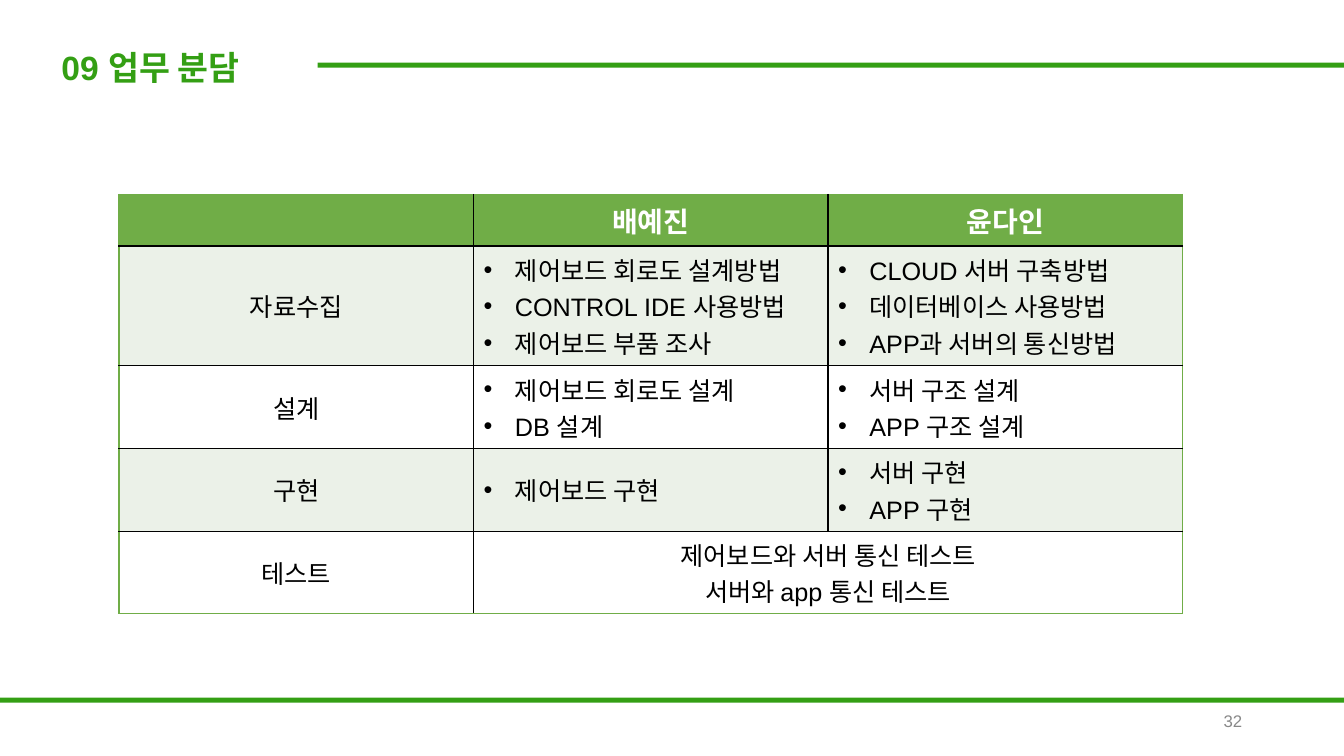
import pptx
import pptx.dml.color
import pptx.enum.shapes
import pptx.enum.text
import pptx.oxml
import pptx.oxml.ns
import pptx.util

Inches = pptx.util.Inches
ALIGN = pptx.enum.text.PP_ALIGN
ANCHOR = pptx.enum.text.MSO_ANCHOR

GREEN, TABLE_GREEN, BAND = "349F14", "70AD47", "EBF1E8"
WHITE, BLACK, GRAY = "FFFFFF", "000000", "888888"

HEADER = ["", "배예진", "윤다인"]
TASKS = [
    ("자료수집",
     ["제어보드 회로도 설계방법", "CONTROL IDE 사용방법", "제어보드 부품 조사"],
     ["CLOUD 서버 구축방법", "데이터베이스 사용방법", "APP과 서버의 통신방법"]),
    ("설계",
     ["제어보드 회로도 설계", "DB 설계"],
     ["서버 구조 설계", "APP 구조 설계"]),
    ("구현", ["제어보드 구현"], ["서버 구현", "APP 구현"]),
]
SHARED_TASK = ("테스트", ["제어보드와 서버 통신 테스트", "서버와 app 통신 테스트"])
ROW_HEIGHTS = [0.51, 1.19, 0.82, 0.82, 0.82]
TABLE_WIDTH = 10.55


def rgb(color):
    return pptx.dml.color.RGBColor.from_string(color)


def write(tf, lines, size, color, bold=False, align=ALIGN.LEFT, bullet=False):
    """Fill a text frame with one paragraph per line."""
    tf.text = "\n".join(lines)
    for p in tf.paragraphs:
        p.alignment = align
        formats = {"name": "Arial", "size": pptx.util.Pt(size), "bold": bold}
        for r in p.runs:
            for key, value in formats.items():
                setattr(r.font, key, value)
            r.font.color.rgb = rgb(color)
        if bullet:
            add_bullet(p)


def add_bullet(p):
    pPr = p._p.get_or_add_pPr()
    indent = Inches(0.31)
    pPr.set("marL", str(indent))
    pPr.set("indent", str(-indent))
    for xml in ('<a:buFont {} typeface="Arial"/>', '<a:buChar {} char="•"/>'):
        pPr.append(pptx.oxml.parse_xml(xml.format(pptx.oxml.ns.nsdecls("a"))))


def set_borders(cell, colors):
    """Draw 1 pt borders, given colours for left, right, top and bottom."""
    tcPr = cell._tc.get_or_add_tcPr()
    for i, (side, color) in enumerate(zip("LRTB", colors)):
        tcPr.insert(i, pptx.oxml.parse_xml(
            f'<a:ln{side} {pptx.oxml.ns.nsdecls("a")} w="12700"><a:solidFill>'
            f'<a:srgbClr val="{color}"/></a:solidFill></a:ln{side}>'))


def add_bar(s, left, top, width):
    sp = s.shapes.add_shape(pptx.enum.shapes.MSO_SHAPE.RECTANGLE, Inches(left),
                            Inches(top), Inches(width), Inches(0.05))
    sp.shadow.inherit = False
    sp.fill.solid()
    sp.fill.fore_color.rgb = rgb(GREEN)
    sp.line.fill.background()


def add_title(s, text):
    sp = s.shapes.title
    box = {"left": 0.51, "top": 0.42, "width": 2.91, "height": 0.5}
    for key, value in box.items():
        setattr(sp, key, Inches(value))
    tf = sp.text_frame
    tf.word_wrap = True
    tf.auto_size = pptx.enum.text.MSO_AUTO_SIZE.NONE
    tf.vertical_anchor = ANCHOR.TOP
    write(tf, [text], 24, GREEN, bold=True)


def add_page_number(s, text):
    sp = s.shapes.add_textbox(Inches(9.42), Inches(6.95), Inches(3), Inches(0.4))
    tf = sp.text_frame
    tf.word_wrap = True
    tf.vertical_anchor = ANCHOR.MIDDLE
    write(tf, [text], 12, GRAY, align=ALIGN.RIGHT)


def add_task_table(s):
    rows, cols = len(ROW_HEIGHTS), len(HEADER)
    table = s.shapes.add_table(
        rows, cols, Inches(1.18), Inches(1.93),
        Inches(TABLE_WIDTH), Inches(sum(ROW_HEIGHTS))).table
    for row, height in zip(table.rows, ROW_HEIGHTS):
        row.height = Inches(height)

    last = rows - 1
    table.cell(last, 1).merge(table.cell(last, 2))
    for i in range(rows):
        for j in range(cols):
            cell = table.cell(i, j)
            cell.vertical_anchor = ANCHOR.MIDDLE
            cell.fill.solid()
            fill = TABLE_GREEN if i == 0 else BAND if i % 2 else WHITE
            cell.fill.fore_color.rgb = rgb(fill)
            at_edge = (j == 0, j == cols - 1 or cell.is_merge_origin,
                       i == 0, i == last)
            set_borders(cell, [TABLE_GREEN if e else BLACK for e in at_edge])

    for j, name in enumerate(HEADER):
        write(table.cell(0, j).text_frame, [name], 20, WHITE, True, ALIGN.CENTER)
    for i, (stage, *duties) in enumerate(TASKS, 1):
        write(table.cell(i, 0).text_frame, [stage], 18, BLACK, align=ALIGN.CENTER)
        for j, lines in enumerate(duties, 1):
            write(table.cell(i, j).text_frame, lines, 18, BLACK, bullet=True)
    stage, lines = SHARED_TASK
    for j, content in enumerate(([stage], lines)):
        write(table.cell(last, j).text_frame, content, 18, BLACK,
              align=ALIGN.CENTER)


def main():
    prs = pptx.Presentation()
    prs.slide_width, prs.slide_height = Inches(13.33), Inches(7.5)
    s = prs.slides.add_slide(prs.slide_layouts.get_by_name("Title Only"))
    add_bar(s, 3.15, 0.62, 10.2)
    add_title(s, "09 업무 분담")
    add_bar(s, 0, 6.92, 13.35)
    add_page_number(s, "32")
    add_task_table(s)
    prs.save("out.pptx")


if __name__ == "__main__":
    main()
